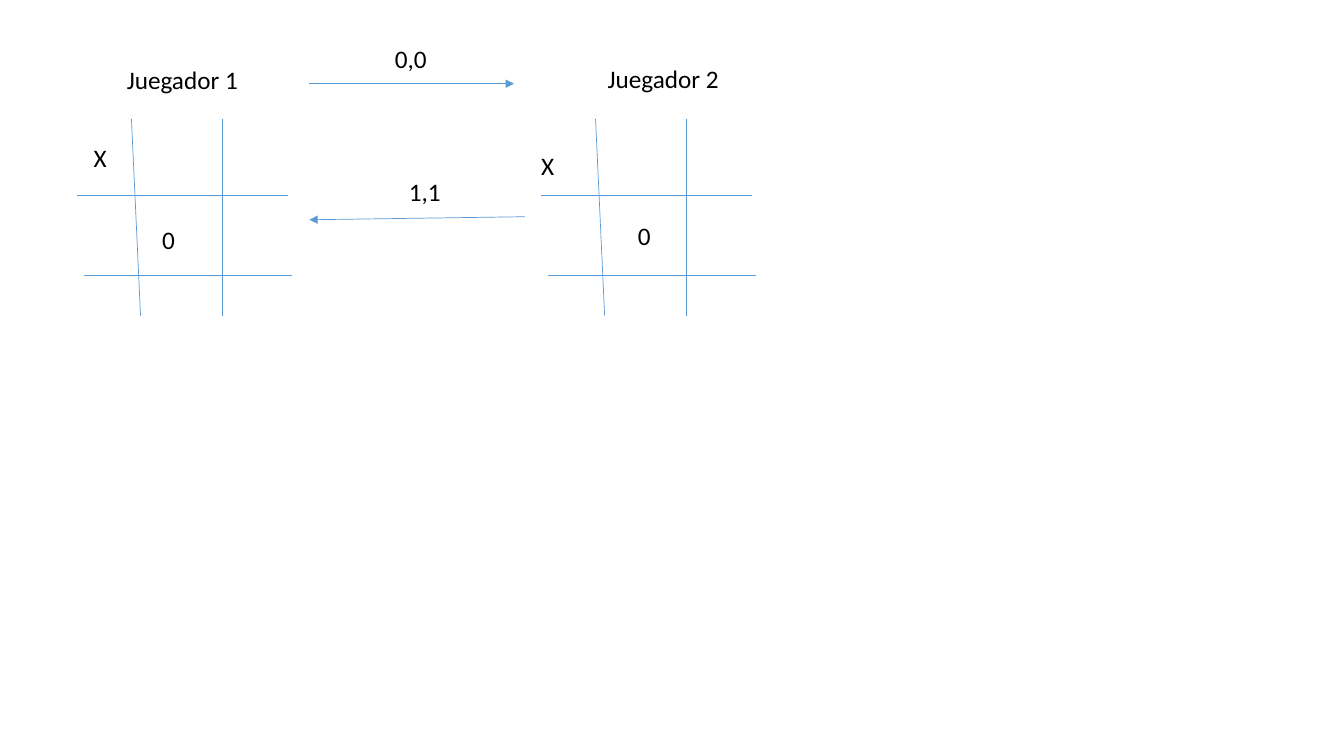
from lxml import etree
from pptx import Presentation
from pptx.dml.color import RGBColor
from pptx.enum.shapes import MSO_CONNECTOR
from pptx.enum.text import MSO_AUTO_SIZE
from pptx.oxml.ns import qn
from pptx.util import Pt

STRAIGHT = MSO_CONNECTOR.STRAIGHT
GROW = MSO_AUTO_SIZE.SHAPE_TO_FIT_TEXT
BLUE, BLACK = "5B9BD5", "000000"
FONT = "Calibri"
MARK_WIDTH, MOVE_WIDTH, PLAYER_WIDTH, LABEL_HEIGHT = 23.8, 37.4, 95, 29.1

# Each grid line as x1, y1, x2, y2 from the board's top left corner
GRID_LINES = [
    (38.9, 0, 45.4, 140.4),
    (103.7, 0, 103.7, 140.4),
    (0, 54.7, 150.5, 54.7),
    (5, 111.6, 153.4, 111.6),
]


def color(hex_string):
    """Turn a hex string into a colour."""
    return RGBColor.from_string(hex_string)


def add_line(slide, x1, y1, x2, y2, arrow=False):
    """Draw a thin blue line, with an arrowhead at its end if asked."""
    line = slide.shapes.add_connector(STRAIGHT, Pt(x1), Pt(y1), Pt(x2), Pt(y2))
    line.line.color.rgb = color(BLUE)
    line.line.width = Pt(0.5)
    if arrow:
        outline = line.line._get_or_add_ln()
        etree.SubElement(outline, qn("a:tailEnd"), type="triangle")
    etree.SubElement(line._element.spPr, qn("a:effectLst"))


def add_label(slide, text, left, top, width):
    """Write one unwrapped line of text."""
    label = slide.shapes.add_textbox(Pt(left), Pt(top), Pt(width), Pt(LABEL_HEIGHT))
    frame = label.text_frame
    frame.text = text
    frame.word_wrap = False
    frame.auto_size = GROW
    font = frame.paragraphs[0].runs[0].font
    font.name, font.size = FONT, Pt(18)
    font.color.rgb = color(BLACK)


def add_board(slide, left, top, labels):
    """Draw a player's board and its labels, given as text, x, y and width."""
    for x1, y1, x2, y2 in GRID_LINES:
        add_line(slide, left + x1, top + y1, left + x2, top + y2)
    for text, x, y, width in labels:
        add_label(slide, text, left + x, top + y, width)


def add_move(slide, left, top, coordinates, label_x, start, end):
    """Draw a move's coordinates and, below them, its arrow."""
    add_label(slide, coordinates, left + label_x, top, MOVE_WIDTH)
    (x1, y1), (x2, y2) = start, end
    add_line(slide, left + x1, top + y1, left + x2, top + y2, arrow=True)


def main():
    """Build the slide of two players exchanging moves."""
    deck = Presentation()
    deck.slide_width, deck.slide_height = Pt(960), Pt(540)
    slide = deck.slides.add_slide(deck.slide_layouts[6])

    add_board(slide, 55, 85, [
        ("Juegador 1", 28.5, -42.5, PLAYER_WIDTH),
        ("X", 4.8, 13, MARK_WIDTH),
        ("0", 53.7, 72, MARK_WIDTH),
    ])
    add_board(slide, 386.5, 85, [
        ("Juegador 2", 40.5, -43.2, PLAYER_WIDTH),
        ("X", -7, 18.7, MARK_WIDTH),
        ("0", 62, 69, MARK_WIDTH),
    ])
    add_move(slide, 221, 27.4, "0,0", 54, (0, 32.4), (146.2, 32.4))
    add_move(slide, 221, 122.4, "1,1", 64, (154, 32.4), (0, 34.6))

    deck.save("out.pptx")


main()
